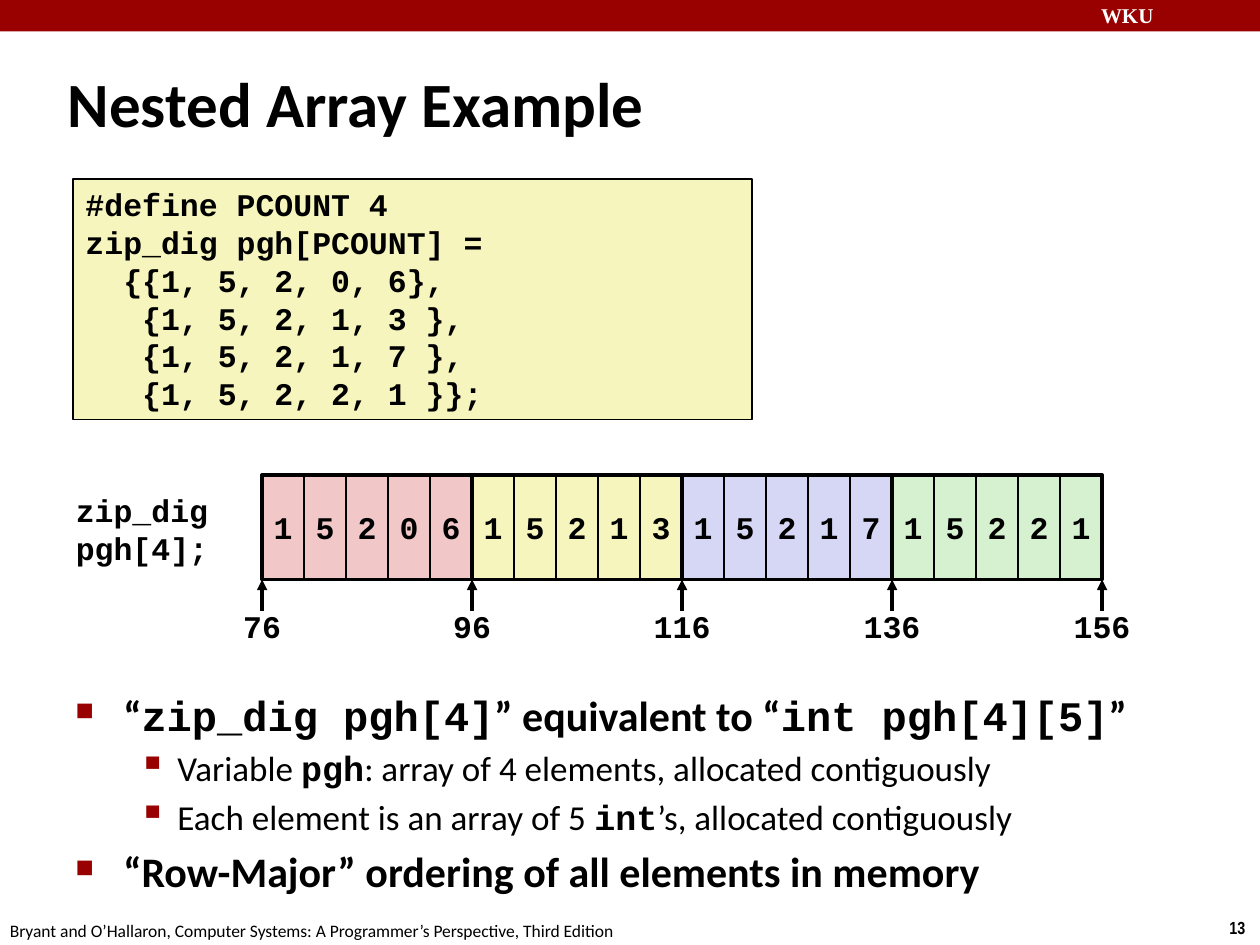
from lxml.etree import SubElement
from pptx import Presentation
from pptx.dml.color import RGBColor
from pptx.enum.shapes import MSO_CONNECTOR, MSO_SHAPE
from pptx.enum.text import MSO_ANCHOR, PP_ALIGN
from pptx.oxml.ns import qn
from pptx.util import Inches, Pt

BLACK = RGBColor(0x00, 0x00, 0x00)
WHITE = RGBColor(0xFF, 0xFF, 0xFF)
RED = RGBColor(0x99, 0x00, 0x00)
PINK = RGBColor(0xF1, 0xC7, 0xC7)
YELLOW = RGBColor(0xF6, 0xF5, 0xBD)
BLUE = RGBColor(0xD6, 0xD6, 0xF5)
GREEN = RGBColor(0xD5, 0xF1, 0xCF)

CODE = {"name": "Courier New", "size": Pt(18), "bold": True}
HEAD = {"name": "Calibri", "size": Pt(24), "bold": True}
TERM = {**HEAD, "name": "Courier New"}
SUB = {"name": "Calibri", "size": Pt(20), "bold": False}
WORD = {**SUB, "name": "Courier New", "bold": True}

prs = Presentation()
prs.slide_width, prs.slide_height = Inches(10), Inches(7.5)
slide = prs.slides.add_slide(prs.slide_layouts[6])
shapes = slide.shapes


def box(x, y, w, h, fill=None, line=None):
    """Add a rectangle, with a black border if line gives its width."""
    rect = shapes.add_shape(MSO_SHAPE.RECTANGLE, Inches(x), Inches(y), Inches(w), Inches(h))
    rect.shadow.inherit = False
    if fill is None:
        rect.fill.background()
    else:
        rect.fill.solid()
        rect.fill.fore_color.rgb = fill
    if line is None:
        rect.line.fill.background()
    else:
        rect.line.color.rgb = BLACK
        rect.line.width = Pt(line)
    return rect


def write(shape, lines, look, align=PP_ALIGN.LEFT, wrap=True, color=BLACK, anchor=MSO_ANCHOR.TOP):
    """Fill a shape with lines of text in one look."""
    frame = shape.text_frame
    frame.word_wrap = wrap
    frame.vertical_anchor = anchor
    for i, text in enumerate(lines):
        para = frame.paragraphs[0] if i == 0 else frame.add_paragraph()
        para.alignment = align
        run = para.add_run()
        run.text = text
        run.font.color.rgb = color
        for key, value in look.items():
            setattr(run.font, key, value)


# Top bar, page number, footer and title
box(0, 0, 10, 0.25, RED)
labels = [
    ("WKU", (8.64, -0.03, 1.43, 0.3), {"name": "Times New Roman", "size": Pt(12), "bold": True}, WHITE),
    ("13", (9.66, 7.23, 0.34, 0.27), {"name": "Arial Narrow", "size": Pt(10), "bold": True}, BLACK),
    ("Bryant and O’Hallaron, Computer Systems: A Programmer’s Perspective, Third Edition",
     (-0.02, 7.25, 5.08, 0.27), {"name": "Calibri", "size": Pt(10)}, BLACK),
    ("Nested Array Example", (0.44, 0.5, 6.97, 0.63), {**HEAD, "size": Pt(36)}, BLACK),
]
for text, place, look, color in labels:
    label = shapes.add_textbox(*map(Inches, place))
    anchor = MSO_ANCHOR.MIDDLE if look["size"] == Pt(36) else MSO_ANCHOR.TOP
    write(label, [text], look, wrap=look["size"] > Pt(10), color=color, anchor=anchor)

# Code listing
code = [
    "#define PCOUNT 4",
    "zip_dig pgh[PCOUNT] =",
    "  {{1, 5, 2, 0, 6},",
    "   {1, 5, 2, 1, 3 },",
    "   {1, 5, 2, 1, 7 },",
    "   {1, 5, 2, 2, 1 }};",
]
write(box(0.58, 1.42, 5.39, 1.91, YELLOW, 1), code, CODE)

# Array name
name = shapes.add_textbox(Inches(0.5), Inches(3.85), Inches(1.25), Inches(0.7))
write(name, ["zip_dig", "pgh[4];"], CODE, PP_ALIGN.RIGHT, False)

# Memory addresses with arrows, one at each row boundary
LEFT, TOP, HIGH = 2.08, 3.77, 0.83
CELL = 1 / 3
ROW = 5 * CELL
for i in range(5):
    x = LEFT + i * ROW
    arrow = shapes.add_connector(MSO_CONNECTOR.STRAIGHT, Inches(x), Inches(4.85),
                                 Inches(x), Inches(TOP + HIGH))
    arrow.line.color.rgb = BLACK
    arrow.line.width = Pt(2)
    SubElement(arrow.line._get_or_add_ln(), qn("a:tailEnd"), type="triangle")
    SubElement(arrow._element.spPr, qn("a:effectLst"))
    mark = shapes.add_textbox(Inches(x - 0.33), Inches(4.77), Inches(0.66), Inches(0.4))
    write(mark, [str(76 + 20 * i)], CODE, PP_ALIGN.CENTER, False)

# Array cells, then a heavy frame around each row
rows = [("15206", PINK), ("15213", YELLOW), ("15217", BLUE), ("15221", GREEN)]
for i, (digits, fill) in enumerate(rows):
    for j, digit in enumerate(digits):
        cell = box(LEFT + i * ROW + j * CELL, TOP, CELL, HIGH, fill, 1)
        write(cell, [digit], CODE, PP_ALIGN.CENTER, False, anchor=MSO_ANCHOR.MIDDLE)
for i in range(len(rows)):
    box(LEFT + i * ROW, TOP, ROW, HIGH, line=2.25)

# Bullet list: level, then runs of text and look
points = [
    (0, [("“", HEAD), ("zip_dig pgh[4]", TERM), ("” equivalent to “", HEAD),
         ("int pgh[4][5]", TERM), ("”", HEAD)]),
    (1, [("Variable ", SUB), ("pgh", WORD), (": array of 4 elements, allocated contiguously", SUB)]),
    (1, [("Each element is an array of 5 ", SUB), ("int", WORD), ("’s, allocated contiguously", SUB)]),
    (0, [("“Row-Major” ordering of all elements in memory", HEAD)]),
]
# Per level: margin, indent, bullet, bullet size, space before
levels = [(0.38, -0.38, "■", "60000", 4.8), (0.81, -0.31, "▪", "110000", 4)]
body = shapes.add_textbox(Inches(0.5), Inches(5.42), Inches(8.75), Inches(2.08)).text_frame
body.word_wrap = True
for i, (level, runs) in enumerate(points):
    para = body.paragraphs[0] if i == 0 else body.add_paragraph()
    margin, indent, sign, scale, gap = levels[level]
    para.level = level
    props = para._p.get_or_add_pPr()
    props.set("marL", str(Inches(margin)))
    props.set("indent", str(Inches(indent)))
    SubElement(SubElement(props, qn("a:buClr")), qn("a:srgbClr"), val=str(RED))
    SubElement(props, qn("a:buSzPct"), val=scale)
    SubElement(props, qn("a:buChar"), char=sign)
    if i:
        para.space_before = Pt(gap)
    for text, look in runs:
        run = para.add_run()
        run.text = text
        run.font.color.rgb = BLACK
        for key, value in look.items():
            setattr(run.font, key, value)

prs.save("out.pptx")
